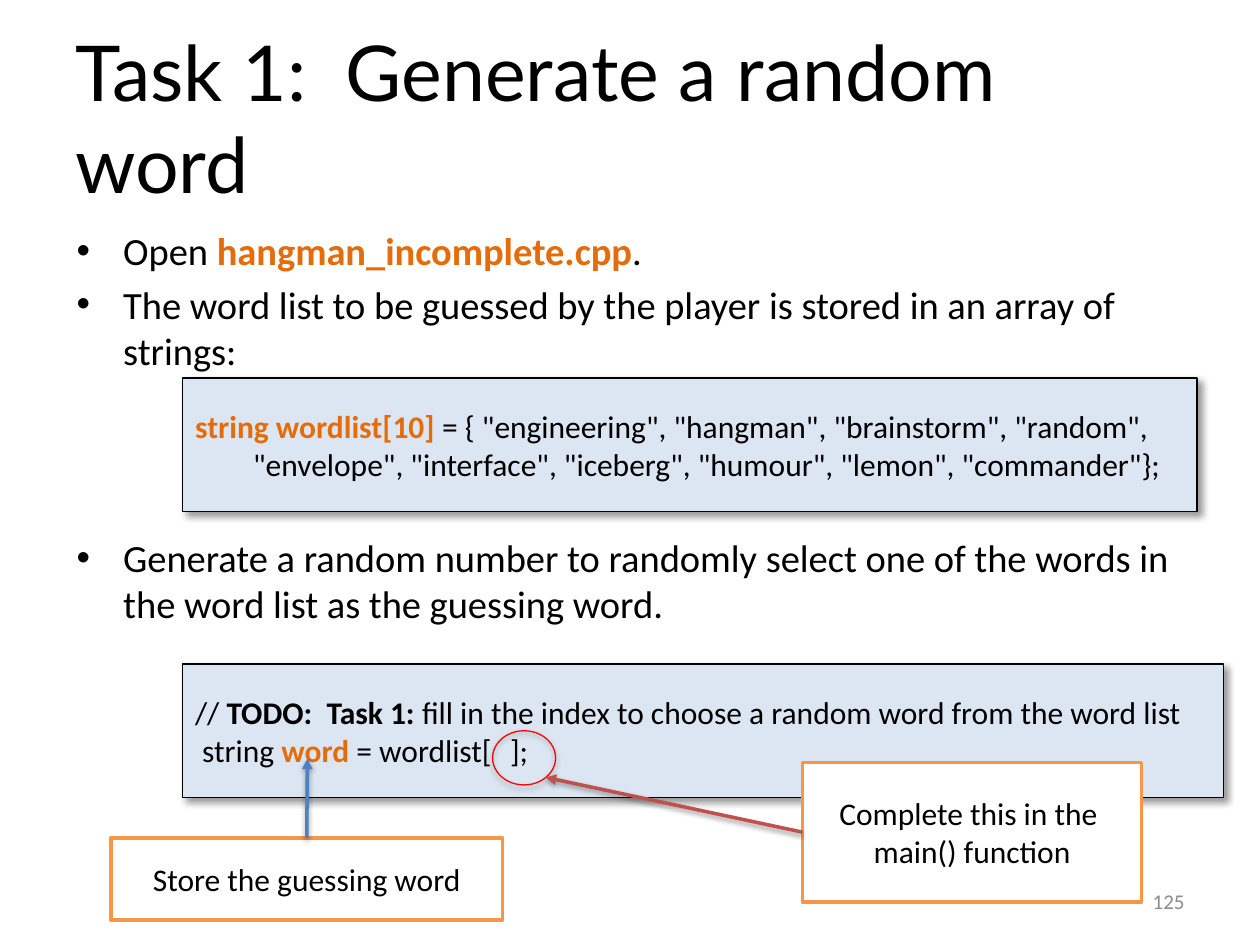
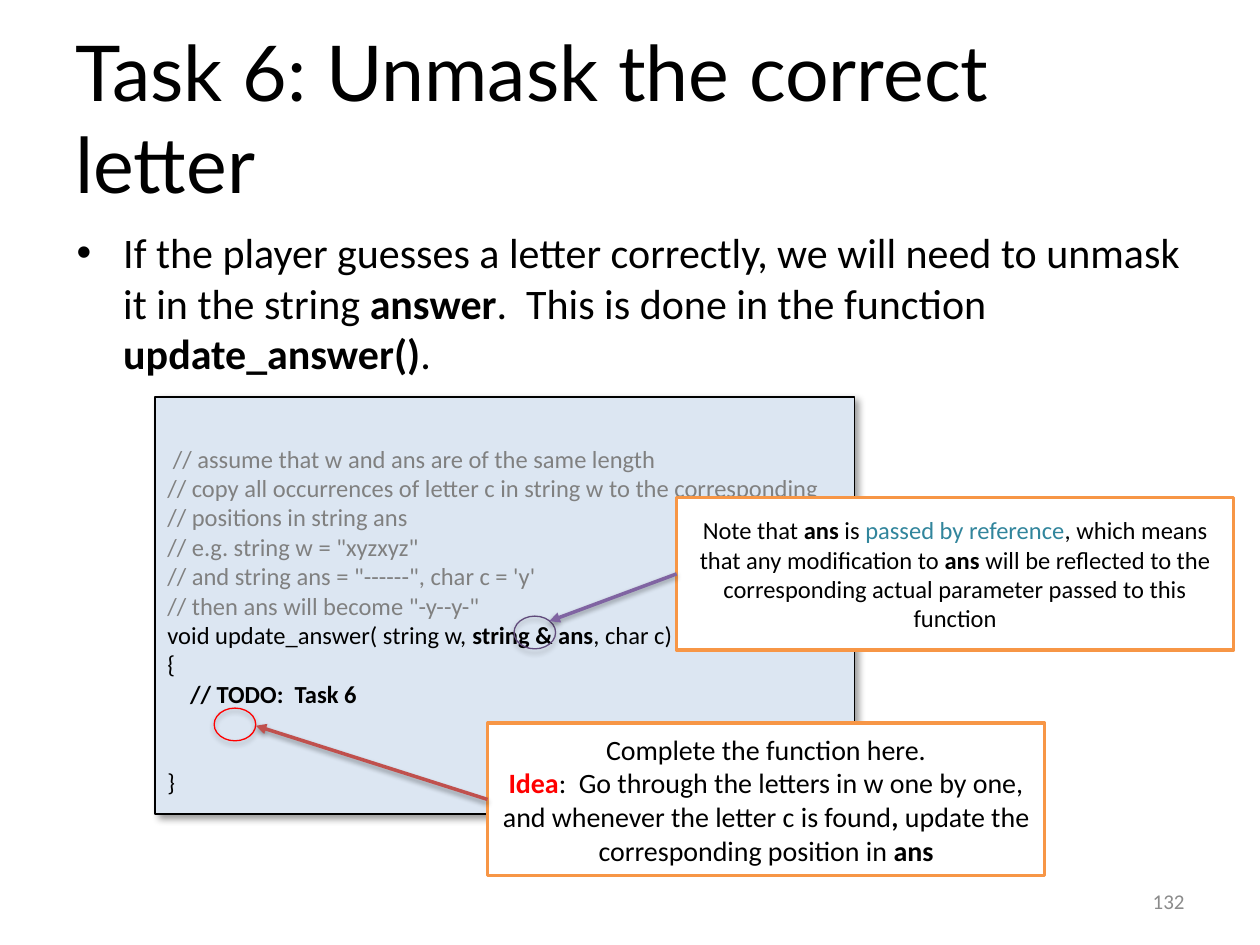
from lxml import etree
from pptx import Presentation
from pptx import util as u
from pptx.dml.color import RGBColor
from pptx.enum import shapes as sh, text as tx
from pptx.oxml import ns

SCALE = 9144
HUES = {
    "black": "000000", "white": "FFFFFF", "pale": "DCE6F2", "gray": "808080",
    "number": "8B8B8B", "orange": "E46C0A", "frame": "F79646", "red": "FF0000",
    "brick": "C0504D", "blue": "4F81BD", "violet": "8064A2", "plum": "604A7B",
    "teal": "31859C",
}
LEFT, MID, RIGHT = tx.PP_ALIGN.LEFT, tx.PP_ALIGN.CENTER, tx.PP_ALIGN.RIGHT
DEEP, SOFT, THIN = (40, 4, 3, 45), (35, 3.1, 1.8, 90), (38, 3.1, 1.6, 90)


def px(n):
    """Turn px into EMU."""
    return u.Emu(n * SCALE)


def hue(name):
    """Look up a colour."""
    return RGBColor.from_string(HUES[name])


def node(top, tag, **attrs):
    """Append an XML child with attributes."""
    kid = etree.SubElement(top, ns.qn(tag))
    for key, val in attrs.items():
        kid.set(key, str(val))
    return kid


def shade(item, alpha, blur, dist, angle):
    """Give a shape or connector an outer shadow."""
    props = item._element.spPr
    fx = props.find(ns.qn("a:effectLst"))
    if fx is None:
        fx = node(props, "a:effectLst")
    cast = node(fx, "a:outerShdw", blurRad=int(u.Pt(blur)), dist=int(u.Pt(dist)),
                dir=angle * 60000, algn="ctr", rotWithShape=0)
    tint = node(cast, "a:srgbClr", val=HUES["black"])
    node(tint, "a:alpha", val=alpha * 1000)


def write(box, lines, size=18, font="Calibri", color="black", align=LEFT, mid=True, before=0):
    """Fill a shape with lines of plain strings or (text, colour, bold) runs."""
    frame = box.text_frame
    frame.word_wrap = True
    frame.vertical_anchor = tx.MSO_ANCHOR.MIDDLE if mid else tx.MSO_ANCHOR.TOP
    pars = []
    for i, line in enumerate(lines):
        par = frame.add_paragraph() if i else frame.paragraphs[0]
        par.alignment, par.space_before = align, u.Pt(before)
        for part in [line] if isinstance(line, str) else line:
            words, tint, bold = (part, color, False) if isinstance(part, str) else part
            run = par.add_run()
            run.text = words
            run.font.size, run.font.name, run.font.bold = u.Pt(size), font, bold
            run.font.color.rgb = hue(tint)
        pars.append(par)
    return pars


def strong(words, color="black"):
    """Make a bold run."""
    return words, color, True


def inset(par, left, hang=0):
    """Indent a paragraph."""
    props = par._p.get_or_add_pPr()
    props.set("marL", str(px(left)))
    props.set("indent", str(px(hang)))
    return props


def label(slide, at, lines, **form):
    """Place a text box."""
    return write(slide.shapes.add_textbox(*map(px, at)), lines, **form)


def points(slide, lines, size):
    """Place the bulleted body."""
    pars = label(slide, (50, 175, 900, 495), lines, size=size, mid=False, before=size / 5)
    for par in pars:
        props = inset(par, 38, -37)
        node(props, "a:buFont", typeface="Arial")
        node(props, "a:buChar", char="•")
    return pars


def shape(slide, kind, at, line, width, fill=None):
    """Draw an outlined preset shape."""
    item = slide.shapes.add_shape(kind, *map(px, at))
    item.shadow.inherit = False
    item.line.color.rgb = hue(line)
    item.line.width = u.Pt(width)
    if fill:
        item.fill.solid()
        item.fill.fore_color.rgb = hue(fill)
    else:
        item.fill.background()
    return item


def code(slide, at, lines, top=5, **form):
    """Draw a shaded code panel."""
    item = shape(slide, sh.MSO_SHAPE.RECTANGLE, at, "black", 0.75, "pale")
    shade(item, *DEEP)
    item.text_frame.margin_top = px(top)
    return write(item, lines, **form)


def note(slide, at, lines, size):
    """Draw a framed note."""
    item = shape(slide, sh.MSO_SHAPE.RECTANGLE, at, "frame", 2, "white")
    write(item, lines, size=size, align=MID)
    return item


def ring(slide, at, color):
    """Circle a spot in the code."""
    shade(shape(slide, sh.MSO_SHAPE.OVAL, at, color, 0.75), *SOFT)


def arrow(slide, box, side, end, color):
    """Point from the side of a note to a spot."""
    x, y = map(px, end)
    link = slide.shapes.add_connector(sh.MSO_CONNECTOR.STRAIGHT, x, y, x, y)
    link.begin_connect(box, side)
    link.line.color.rgb = hue(color)
    link.line.width = u.Pt(2)
    node(link.line._get_or_add_ln(), "a:tailEnd", type="triangle")
    shade(link, *THIN)


def start(deck, title, number):
    """Add a slide with its title and number."""
    slide = deck.slides.add_slide(deck.slide_layouts[6])
    label(slide, (50, 30, 900, 125), [title], size=44, font="Lato")
    label(slide, (717, 695, 233, 40), [number], size=12, color="number", align=RIGHT)
    return slide


def pick(deck):
    """Build the random word slide."""
    slide = start(deck, "Task 1:  Generate a random word", "125")
    pars = points(slide, [
        ["Open ", strong("hangman_incomplete.cpp", "orange"), "."],
        "The word list to be guessed by the player is stored in an array of strings:",
        "Generate a random number to randomly select one of the words in the word list"
        " as the guessing word.",
    ], 22)
    pars[2].space_before = u.Pt(92)
    rows = code(slide, (145, 300, 805, 106), [
        [strong("string wordlist[10]", "orange"),
         ' = { "engineering", "hangman", "brainstorm", "random",'],
        '"envelope", "interface", "iceberg", "humour", "lemon", "commander"};',
    ])
    inset(rows[1], 46)
    rows = code(slide, (145, 527, 826, 106), [
        ["// ", strong("TODO:  Task 1: "),
         "fill in the index to choose a random word from the word list"],
        [" string ", strong("word", "orange"), " = wordlist[\t];"],
    ])
    tabs = node(inset(rows[1], 0), "a:tabLst")
    node(tabs, "a:tab", pos=px(292), algn="l")
    ring(slide, (391, 580, 50, 43), "red")
    main_note = note(slide, (637, 605, 269, 111), ["Complete this in the ", "main() function"], 18)
    arrow(slide, main_note, 1, (433, 617), "brick")
    word_note = note(slide, (88, 665, 311, 65), ["Store the guessing word"], 18)
    arrow(slide, word_note, 0, (244, 602), "blue")


def unmask(deck):
    """Build the unmasking slide."""
    slide = start(deck, "Task 6: Unmask the correct letter", "132")
    points(slide, [[
        "If the player guesses a letter correctly, we will need to unmask it in the string ",
        strong("answer"), ".  This is done in the function ", strong("update_answer()"), ".",
    ]], 24)
    hints = [
        " // assume that w and ans are of the same length",
        "// copy all occurrences of letter c in string w to the corresponding",
        "// positions in string ans",
        '// e.g. string w = "xyzxyz"',
        "// and string ans = \"------\", char c = 'y'",
        '// then ans will become "-y--y-"',
    ]
    rows = code(slide, (123, 315, 555, 331), [[(hint, "gray", False)] for hint in hints] + [
        ["void update_answer( string w, ", strong("string & ans"), ", char c)"],
        "{",
        [strong("// TODO:  Task 6")],
        "}",
    ], top=37, size=14, mid=False)
    inset(rows[-2], 18)
    rows[-1].space_before = u.Pt(33.5)
    ring(slide, (170, 562, 33, 26), "red")
    idea = note(slide, (387, 574, 442, 121), [
        "Complete the function here.",
        [strong("Idea", "red"),
         ":  Go through the letters in w one by one, and whenever the letter c is found",
         strong(", "), "update the corresponding position in ", strong("ans")],
    ], 16)
    arrow(slide, idea, 1, (203, 576), "brick")
    ring(slide, (408, 489, 33, 26), "plum")
    refer = note(slide, (537, 395, 442, 121), [[
        "Note that ", strong("ans"), " is ", ("passed by reference", "teal", False),
        ", which means that any modification to ", strong("ans"),
        " will be reflected to the corresponding actual parameter passed to this function",
    ]], 14)
    arrow(slide, refer, 1, (436, 493), "violet")


def main():
    """Build and save the deck."""
    deck = Presentation()
    deck.slide_width, deck.slide_height = px(1000), px(750)
    pick(deck)
    unmask(deck)
    deck.save("out.pptx")


if __name__ == "__main__":
    main()
